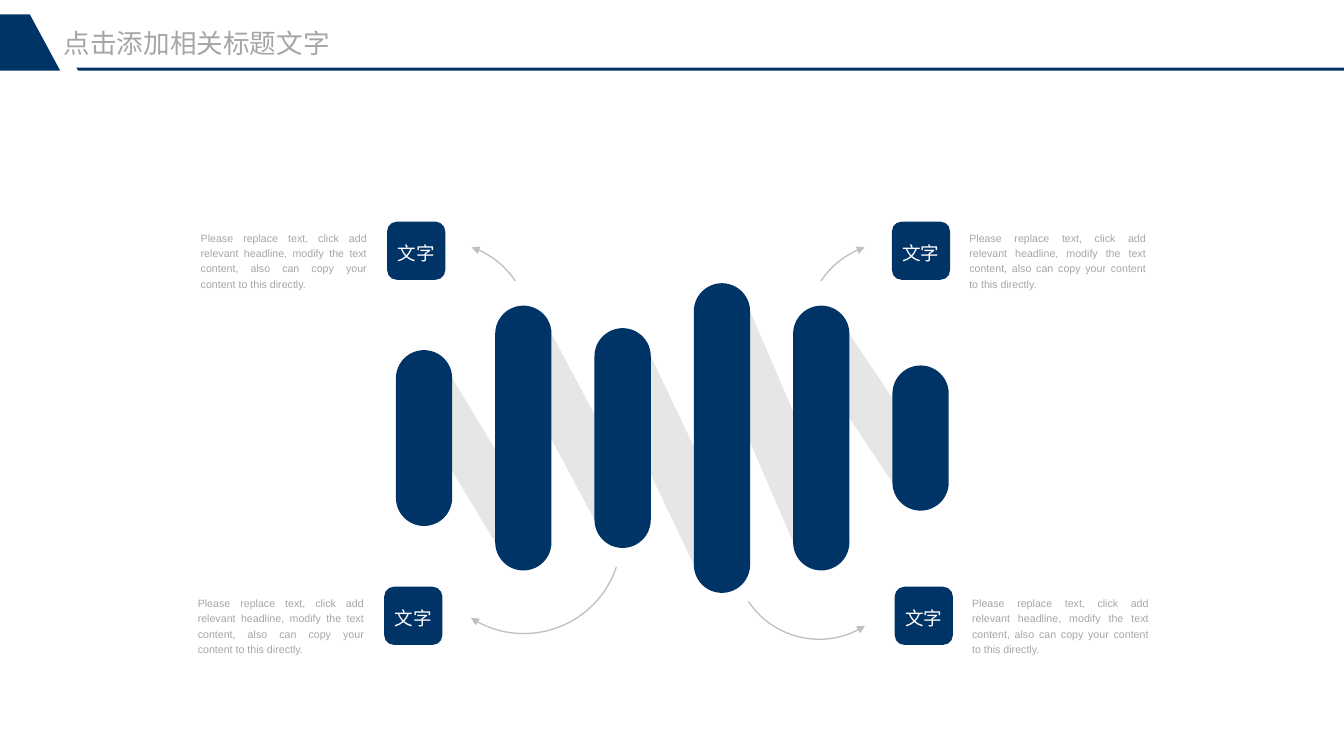
from lxml import etree
from pptx import Presentation
from pptx.dml.color import RGBColor
from pptx.enum.shapes import MSO_SHAPE
from pptx.enum.text import MSO_ANCHOR, MSO_AUTO_SIZE, PP_ALIGN
from pptx.oxml.ns import qn
from pptx.util import Pt

ROUNDED, ARC = MSO_SHAPE.ROUNDED_RECTANGLE, MSO_SHAPE.ARC
TOP, MIDDLE = MSO_ANCHOR.TOP, MSO_ANCHOR.MIDDLE
LEFT, CENTER, JUSTIFY = PP_ALIGN.LEFT, PP_ALIGN.CENTER, PP_ALIGN.JUSTIFY

# Content
TITLE = "点击添加相关标题文字"
TILE_LABEL = "文字"
BODY = ("Please replace text, click add relevant headline, modify the text "
        "content, also can copy your content to this directly.")
NAVY, PALE, GRAY, LINE, WHITE = "003366", "E7E6E6", "A6A6A6", "BFBFBF", "FFFFFF"

SLIDE_W, SLIDE_H = 1012.3, 569.5
BAR_HEIGHTS = [132.5, 199.5, 165.6, 233.3, 199.5, 109.4]
BAR_W, BAR_PITCH, FIRST_BAR_X, BAR_MIDDLE_Y = 42.4, 74.8, 298.2, 330

# Tile left and top, text offset from the tile, text width
CALLOUTS = [
    (671.8, 167, 58.3, 133.2),
    (673.9, 442, 58.3, 133.2),
    (291.6, 167, -140.4, 125.3),
    (289.4, 442, -140.4, 125.3),
]
TILE_SIZE, TEXT_DROP, TEXT_H = 43.8, 5.8, 46

# Centre, radius, clockwise start and end angle, end that has the arrowhead
ARROWS = [
    (617, 417.6, 64, 57.3, 146.3, "a:headEnd"),
    (671.8, 247, 64, 213.5, 251.3, "a:tailEnd"),
    (394.6, 403.9, 73.4, 18.3, 122.9, "a:tailEnd"),
    (334.8, 247, 64, 288.7, 326.5, "a:headEnd"),
]
HEADER_SHAPES = [
    [(57.6, 51), (SLIDE_W, 51), (SLIDE_W, 53.3), (59, 53.3)],
    [(0, 10.8), (22.5, 10.8), (45.4, 53.3), (0, 53.3)],
]


def color(value):
    return RGBColor.from_string(value)


def paint(shape, fill):
    shape.shadow.inherit = False
    shape.fill.solid()
    shape.fill.fore_color.rgb = color(fill)
    shape.line.fill.background()


def add_polygon(points, fill):
    corners = [(Pt(x), Pt(y)) for x, y in points]
    builder = page.shapes.build_freeform(*corners[0])
    builder.add_line_segments(corners[1:], close=True)
    paint(builder.convert_to_shape(), fill)


def add_rounded(x, y, width, height, corner):
    shape = page.shapes.add_shape(ROUNDED, Pt(x), Pt(y), Pt(width), Pt(height))
    shape.adjustments[0] = corner
    paint(shape, NAVY)
    return shape


def write(shape, text, size, text_color, align, anchor, spacing=1.0):
    frame = shape.text_frame
    frame.word_wrap = True
    frame.auto_size = MSO_AUTO_SIZE.NONE
    frame.vertical_anchor = anchor
    frame.margin_left = frame.margin_right = 0
    frame.margin_top = frame.margin_bottom = 0
    para = frame.paragraphs[0]
    para.text = text
    para.alignment = align
    para.line_spacing = spacing
    para.font.name = "Arial"
    para.font.size = Pt(size)
    para.font.color.rgb = color(text_color)


def add_arrow(x, y, radius, start, end, arrow_end):
    arc = page.shapes.add_shape(ARC, Pt(x - radius), Pt(y - radius),
                                Pt(2 * radius), Pt(2 * radius))
    # Angles are stored in 60000ths of a degree, adjustments in 100000ths
    arc.adjustments[0], arc.adjustments[1] = start * 0.6, end * 0.6
    arc.shadow.inherit = False
    arc.fill.background()
    arc.line.color.rgb = color(LINE)
    arc.line.width = Pt(1)
    outline = arc.line.color and arc.element.spPr.find(qn("a:ln"))
    etree.SubElement(outline, qn(arrow_end), type="triangle")


deck = Presentation()
deck.slide_width, deck.slide_height = Pt(SLIDE_W), Pt(SLIDE_H)
page = deck.slides.add_slide(deck.slide_layouts[5])

# Header
for points in HEADER_SHAPES:
    add_polygon(points, NAVY)
title = page.shapes.title
title.left, title.top, title.width, title.height = Pt(48), Pt(20), Pt(241), Pt(24.5)
write(title, TITLE, 20, GRAY, LEFT, TOP)

# Bands from the top of each bar to the foot of the next
bars = [(FIRST_BAR_X + i * BAR_PITCH, BAR_MIDDLE_Y - height / 2, height)
        for i, height in enumerate(BAR_HEIGHTS)]
cap = BAR_W / 2
for (x, top, _), (next_x, next_top, next_height) in zip(bars, bars[1:]):
    upper, lower = top + cap, next_top + next_height - cap
    add_polygon([(x, upper), (x + BAR_W, upper),
                 (next_x + BAR_W, lower), (next_x, lower)], PALE)

# Bars
for x, top, height in bars:
    add_rounded(x, top, BAR_W, height, 0.5)

# Callouts
for x, y, text_offset, text_w in CALLOUTS:
    tile = add_rounded(x, y, TILE_SIZE, TILE_SIZE, 0.166)
    write(tile, TILE_LABEL, 14, WHITE, CENTER, MIDDLE, 1.2)
    box = page.shapes.add_textbox(Pt(x + text_offset), Pt(y + TEXT_DROP),
                                  Pt(text_w), Pt(TEXT_H))
    write(box, BODY, 8, GRAY, JUSTIFY, TOP, 1.2)

# Curved arrows
for arrow in ARROWS:
    add_arrow(*arrow)

deck.save("out.pptx")
